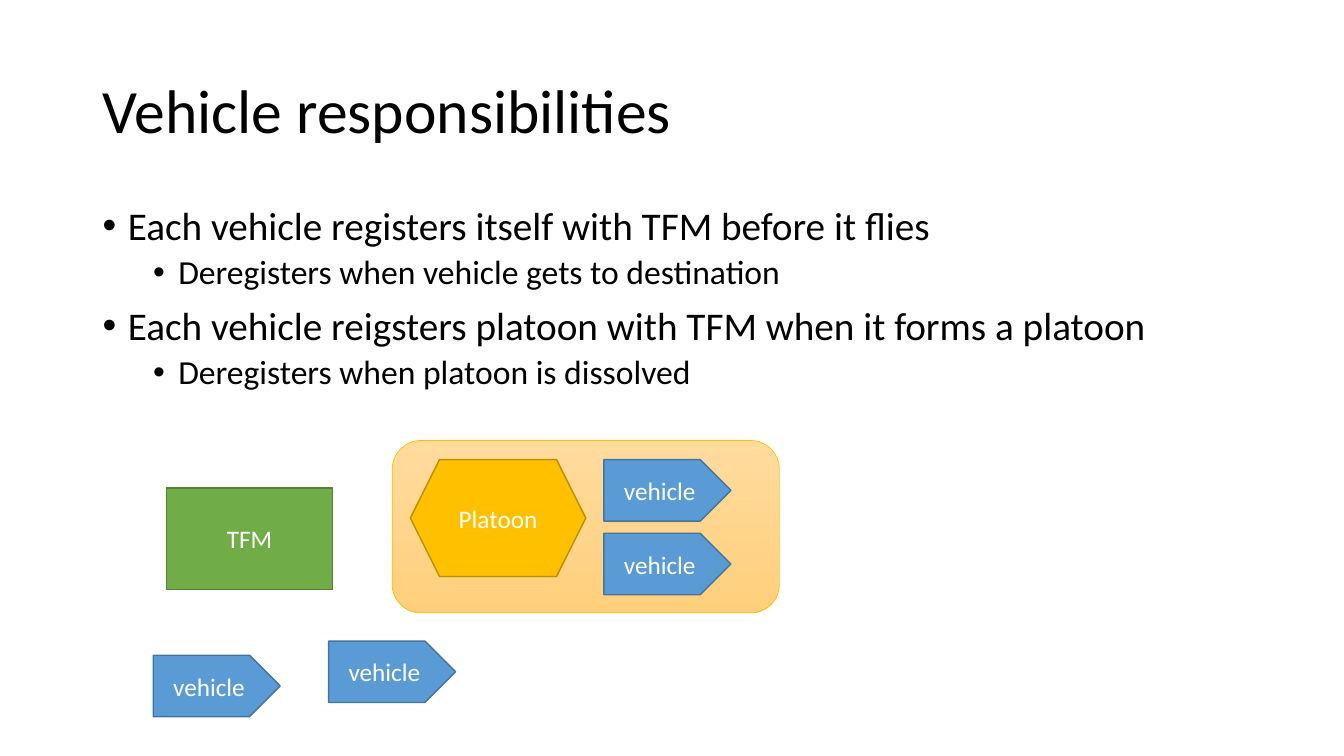
from pptx import Presentation
from pptx import util as u
from pptx.dml.color import RGBColor
from pptx.enum import shapes, text
from pptx.oxml.ns import qn
from lxml import etree

COLORS = {
    "ink": "000000", "label": "FFFFFF",
    "tfm": "70AD47", "tfm_line": "538035",
    "vehicle": "5B9BD5", "vehicle_line": "43739E",
    "platoon": "FFC000", "platoon_line": "BD8E00",
    "group_top": "FFDB9E", "group_bottom": "FFD07C",
}
SHAPE = shapes.MSO_SHAPE
ALIGN = text.PP_ALIGN
ANCHOR = text.MSO_ANCHOR


def color(name):
    return RGBColor.from_string(COLORS[name])


def apply(target, values):
    for name, value in values.items():
        setattr(target, name, value)


class SlideBuilder:
    font = "Calibri"
    vehicle_size = (1.26, 0.61)
    bullet_levels = [
        {"size": 28, "before": 10, "indent": 0.25},
        {"size": 24, "before": 5, "indent": 0.75},
    ]

    def __init__(self, slide):
        self.slide = slide

    def place(self, shape, box):
        names = ("left", "top", "width", "height")
        apply(shape, dict(zip(names, map(u.Inches, box))))

    def add_words(self, paragraph, words, size, ink="ink", **values):
        run = paragraph.add_run()
        run.text = words
        apply(run.font, {"name": self.font, "size": u.Pt(size)})
        run.font.color.rgb = color(ink)
        apply(paragraph, values)

    def title(self, words, box):
        title = self.slide.shapes.title
        self.place(title, box)
        apply(title.text_frame, {
            "word_wrap": True,
            "auto_size": text.MSO_AUTO_SIZE.NONE,
            "vertical_anchor": ANCHOR.MIDDLE,
        })
        self.add_words(title.text_frame.paragraphs[0], words, 44,
                       alignment=ALIGN.LEFT, line_spacing=0.9)

    def bullets(self, items, box):
        frame = self.slide.shapes.add_textbox(*map(u.Inches, box)).text_frame
        frame.word_wrap = True
        for index, (level, words) in enumerate(items):
            paragraph = frame.add_paragraph() if index else frame.paragraphs[0]
            style = self.bullet_levels[level]
            self.add_words(paragraph, words, style["size"], level=level,
                           line_spacing=0.9, space_before=u.Pt(style["before"]))
            properties = paragraph._p.get_or_add_pPr()
            properties.set("marL", str(u.Inches(style["indent"])))
            properties.set("indent", str(u.Inches(-0.25)))
            etree.SubElement(properties, qn("a:buFont")).set("typeface", "Arial")
            etree.SubElement(properties, qn("a:buChar")).set("char", "•")

    def group(self):
        return self.slide.shapes.add_group_shape().shapes

    def block(self, kind, box, fill, line, words="", line_width=1, parent=None):
        parent = self.slide.shapes if parent is None else parent
        shape = parent.add_shape(kind, *map(u.Inches, box))
        shape.shadow.inherit = False
        if isinstance(fill, tuple):
            shape.fill.gradient()
            shape.fill.gradient_angle = 270
            for stop, name in zip(shape.fill.gradient_stops, fill):
                stop.color.rgb = color(name)
        else:
            shape.fill.solid()
            shape.fill.fore_color.rgb = color(fill)
        shape.line.color.rgb = color(line)
        shape.line.width = u.Pt(line_width)
        if words:
            frame = shape.text_frame
            apply(frame, {"word_wrap": True, "vertical_anchor": ANCHOR.MIDDLE})
            self.add_words(frame.paragraphs[0], words, 18, "label",
                           alignment=ALIGN.CENTER)

    def vehicle(self, left, top, parent=None):
        self.block(SHAPE.PENTAGON, (left, top, *self.vehicle_size),
                   "vehicle", "vehicle_line", "vehicle", parent=parent)


presentation = Presentation()
apply(presentation, {"slide_width": u.Inches(13.33),
                     "slide_height": u.Inches(7.5)})
builder = SlideBuilder(
    presentation.slides.add_slide(presentation.slide_layouts[5]))

builder.title("Vehicle responsibilities", (0.92, 0.4, 11.5, 1.45))
builder.bullets([
    (0, "Each vehicle registers itself with TFM before it flies"),
    (1, "Deregisters when vehicle gets to destination"),
    (0, "Each vehicle reigsters platoon with TFM when it forms a platoon"),
    (1, "Deregisters when platoon is dissolved"),
], (0.92, 2, 11.5, 4.76))

builder.block(SHAPE.RECTANGLE, (1.65, 4.84, 1.65, 1.01),
              "tfm", "tfm_line", "TFM")
for left, top in [(3.26, 6.36), (1.52, 6.5)]:
    builder.vehicle(left, top)

platoon = builder.group()
builder.block(SHAPE.ROUNDED_RECTANGLE, (3.89, 4.37, 3.84, 1.71),
              ("group_top", "group_bottom"), "platoon",
              line_width=0.5, parent=platoon)
builder.block(SHAPE.HEXAGON, (4.07, 4.56, 1.74, 1.16),
              "platoon", "platoon_line", "Platoon", parent=platoon)
for top in (4.56, 5.29):
    builder.vehicle(5.99, top, platoon)

presentation.save("out.pptx")
